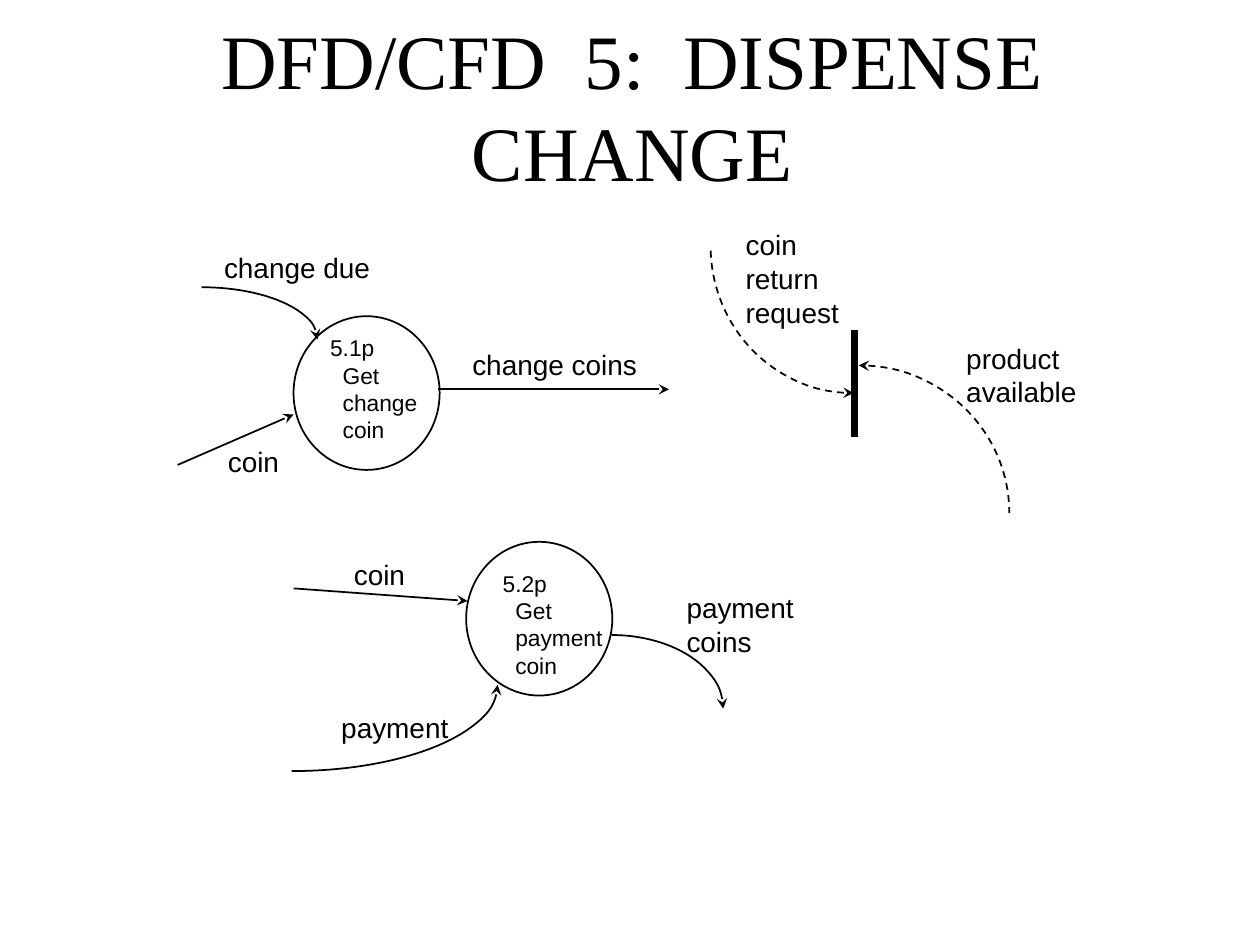
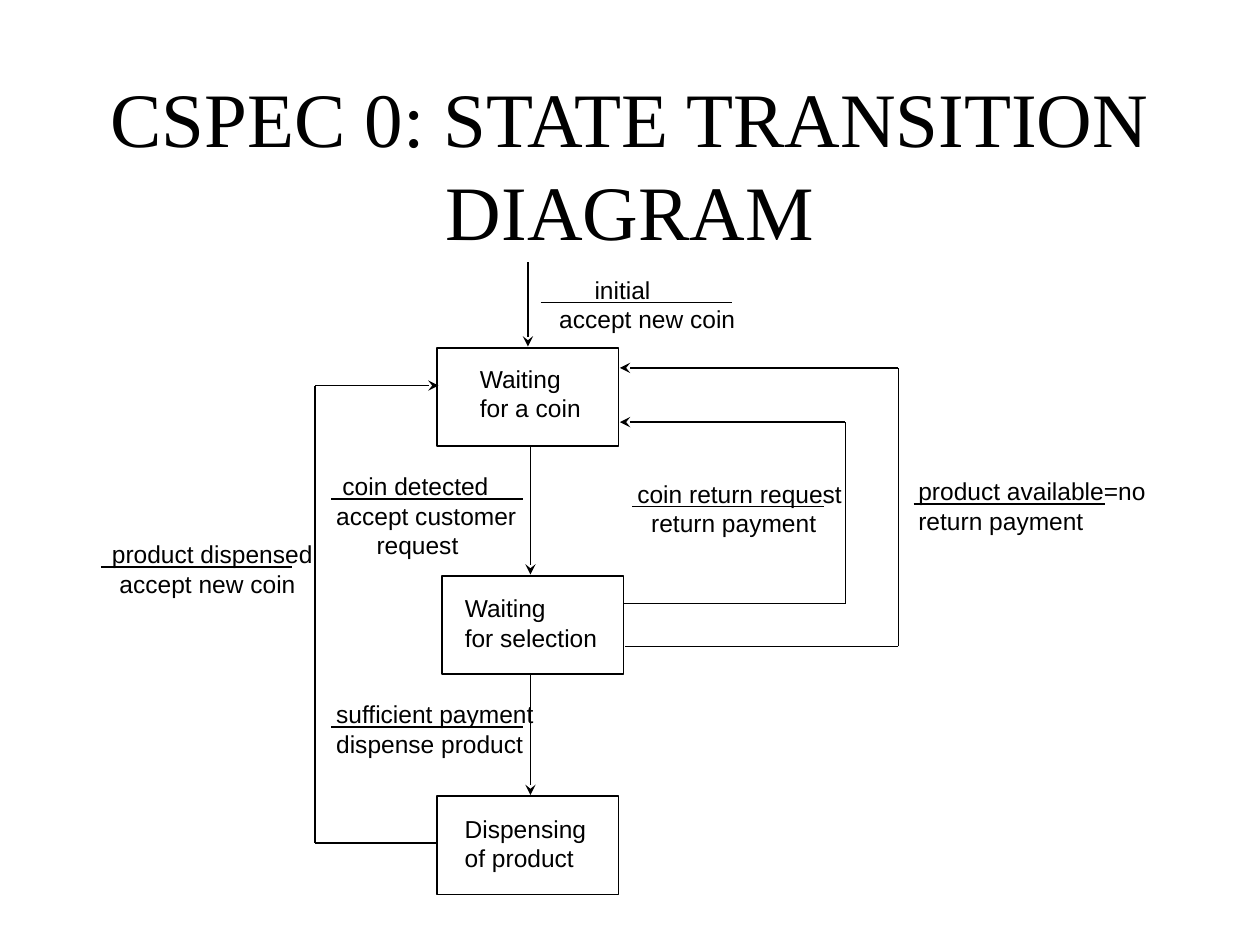
from itertools import pairwise

from lxml.etree import SubElement
from pptx import Presentation
from pptx.dml.color import RGBColor
from pptx.enum.dml import MSO_LINE
from pptx.enum.shapes import MSO_CONNECTOR, MSO_SHAPE
from pptx.enum.text import MSO_ANCHOR, MSO_AUTO_SIZE, PP_ALIGN
from pptx.oxml.ns import qn
from pptx.util import Pt

PX = 9144  # EMU per px, 100 px to the inch
COLORS = {"ink": "000000", "paper": "FFFFFF"}
FORMATS = {
    "title": {"name": "Times New Roman", "size": Pt(44)},
    "flow": {"name": "Arial", "size": Pt(16)},
    "state": {"name": "Arial", "size": Pt(14)},
    "process": {"name": "Arial", "size": Pt(13)},
}
FRAMES = {
    "title": {"word_wrap": True, "vertical_anchor": MSO_ANCHOR.MIDDLE},
    "label": {"word_wrap": False, "auto_size": MSO_AUTO_SIZE.SHAPE_TO_FIT_TEXT},
}
BUBBLE = (116, 122)
STATE = (144, 78)
RULE_WIDTH = 152
ADJUSTMENT_PER_DEGREE = 0.6  # 60000 units to the degree, 100000 to the adjustment


def color(name):
    return RGBColor.from_string(COLORS[name])


def apply(target, values):
    for name, value in values.items():
        setattr(target, name, value)


class Diagram:
    def __init__(self):
        self.prs = Presentation()
        apply(self.prs, {"slide_width": 1000 * PX, "slide_height": 750 * PX})
        self.shapes = None

    def new_slide(self, title, box):
        s = self.prs.slides.add_slide(self.prs.slide_layouts[6])
        self.shapes = s.shapes
        self.text(box, [title], "title", frame="title", align=PP_ALIGN.CENTER)

    def text(self, box, lines, style, frame="label", align=PP_ALIGN.LEFT, inset=(10, 5)):
        """Write one paragraph per line; a line is a string or (indent in px, string)."""
        tf = self.shapes.add_textbox(*(v * PX for v in box)).text_frame
        apply(tf, FRAMES[frame])
        side, edge = (v * PX for v in inset)
        apply(tf, {"margin_left": side, "margin_right": side,
                   "margin_top": edge, "margin_bottom": edge})
        for i, line in enumerate(lines):
            indent, words = (0, line) if isinstance(line, str) else line
            p = tf.add_paragraph() if i else tf.paragraphs[0]
            p.alignment = align
            if indent:
                p._p.get_or_add_pPr().set("marL", str(indent * PX))
            r = p.add_run()
            r.text = words
            apply(r.font, FORMATS[style])
            r.font.color.rgb = color("ink")

    def outline(self, sp, weight=1, dashed=False, arrow=None):
        """Style a line; arrow is the end that gets the head, headEnd or tailEnd."""
        sp.line.color.rgb = color("ink")
        sp.line.width = Pt(weight)
        if dashed:
            sp.line.dash_style = MSO_LINE.DASH
        if arrow:
            ln = sp._element.spPr.find(qn("a:ln"))
            SubElement(ln, qn(f"a:{arrow}"), type="stealth")

    def shape(self, kind, box):
        sp = self.shapes.add_shape(kind, *(v * PX for v in box))
        sp.shadow.inherit = False
        return sp

    def node(self, kind, x, y, size):
        sp = self.shape(kind, (x, y, *size))
        sp.fill.solid()
        sp.fill.fore_color.rgb = color("paper")
        self.outline(sp)

    def process(self, x, y, text_top, text_width, number, words):
        self.node(MSO_SHAPE.OVAL, x, y, BUBBLE)
        lines = [(10, number)] + [(20, word) for word in words]
        self.text((x + 11, text_top, text_width, 95), lines, "process", inset=(8, 4))

    def state(self, x, y, offset, text_width, lines):
        self.node(MSO_SHAPE.RECTANGLE, x, y, STATE)
        dx, dy = offset
        self.text((x + dx, y + dy, text_width, 57), lines, "state")

    def route(self, *points, arrow="tailEnd", weight=1):
        """Join the points by straight lines, with the arrow on the last one."""
        legs = list(pairwise(points))
        for i, (start, end) in enumerate(legs):
            sp = self.shapes.add_connector(
                MSO_CONNECTOR.STRAIGHT, *(v * PX for v in (*start, *end)))
            SubElement(sp._element.spPr, qn("a:effectLst"))
            last = i == len(legs) - 1
            self.outline(sp, weight, arrow=arrow if last else None)

    def curve(self, box, start, arrow="tailEnd", dashed=False):
        """Draw a quarter of the ellipse in box, clockwise from start degrees."""
        sp = self.shape(MSO_SHAPE.ARC, box)
        for i, angle in enumerate((start, (start + 90) % 360)):
            sp.adjustments[i] = angle * ADJUSTMENT_PER_DEGREE
        sp.fill.background()
        self.outline(sp, dashed=dashed, arrow=arrow)

    def transition(self, x, y, width, height, lines):
        """Write an event above a rule and the resulting action below it."""
        self.text((x, y, width, height), lines, "state")
        self.route((x + 6, y + 27), (x + 6 + RULE_WIDTH, y + 27), arrow=None)


def dispense_change(d):
    d.new_slide("DFD/CFD  5:  DISPENSE CHANGE", (31, 5, 942, 156))
    d.process(233, 251, 261, 95, "5.1p", ["Get", "change", "coin"])
    d.process(370, 430, 448, 105, "5.2p", ["Get", "payment", "coin"])

    d.route((678, 262), (678, 347), arrow=None, weight=4)
    d.curve((564, 79, 227, 233), 90, "headEnd", dashed=True)
    d.curve((562, 290, 239, 234), 270, "headEnd", dashed=True)
    d.curve((68, 228, 184, 83), 270)
    d.curve((397, 504, 177, 117), 270)
    d.curve((68, 475, 327, 137), 0, "headEnd")
    for start, end in [((141, 369), (233, 329)), ((348, 309), (531, 309)),
                       ((233, 467), (371, 477))]:
        d.route(start, end)

    for box, lines in [
        ((582, 176, 94, 90), ["coin", "return", "request"]),
        ((757, 266, 108, 63), ["product", "available"]),
        ((168, 194, 136, 37), ["change due"]),
        ((171, 348, 61, 37), ["coin"]),
        ((535, 464, 105, 63), ["payment", "coins"]),
        ((365, 271, 151, 37), ["change coins"]),
        ((261, 559, 105, 37), ["payment"]),
        ((271, 438, 61, 37), ["coin"]),
    ]:
        d.text(box, lines, "flow")


def state_transitions(d):
    d.new_slide("CSPEC 0: STATE TRANSITION DIAGRAM", (75, 67, 850, 125))
    d.state(347, 276, (24, 8), 100, ["Waiting", "for a coin"])
    d.state(351, 457, (8, 9), 125, ["Waiting", "for selection"])
    d.state(347, 632, (12, 9), 117, ["Dispensing", "of product"])

    for points in [
        [(419, 208), (419, 275)],
        [(421, 354), (421, 456)],
        [(421, 535), (421, 631)],
        [(346, 669), (250, 669), (250, 306), (348, 306)],
        [(496, 513), (713, 513), (713, 292), (492, 292)],
        [(495, 479), (671, 479), (671, 335), (492, 335)],
    ]:
        d.route(*points)

    for x, y, width, height, lines in [
        (423, 213, 171, 80, [(39, "initial"), (11, "accept new coin")]),
        (74, 423, 184, 80, [(5, "product dispensed"), (11, "accept new coin")]),
        (257, 369, 163, 104, [(5, "coin detected"), "accept customer", (32, "request")]),
        (257, 550, 177, 80, ["sufficient payment", "dispense product"]),
        (496, 375, 183, 57, ["coin return request", (11, "return payment")]),
        (719, 373, 201, 57, ["product available=no", "return payment"]),
    ]:
        d.transition(x, y, width, height, lines)


def main():
    d = Diagram()
    dispense_change(d)
    state_transitions(d)
    d.prs.save("out.pptx")


if __name__ == "__main__":
    main()
